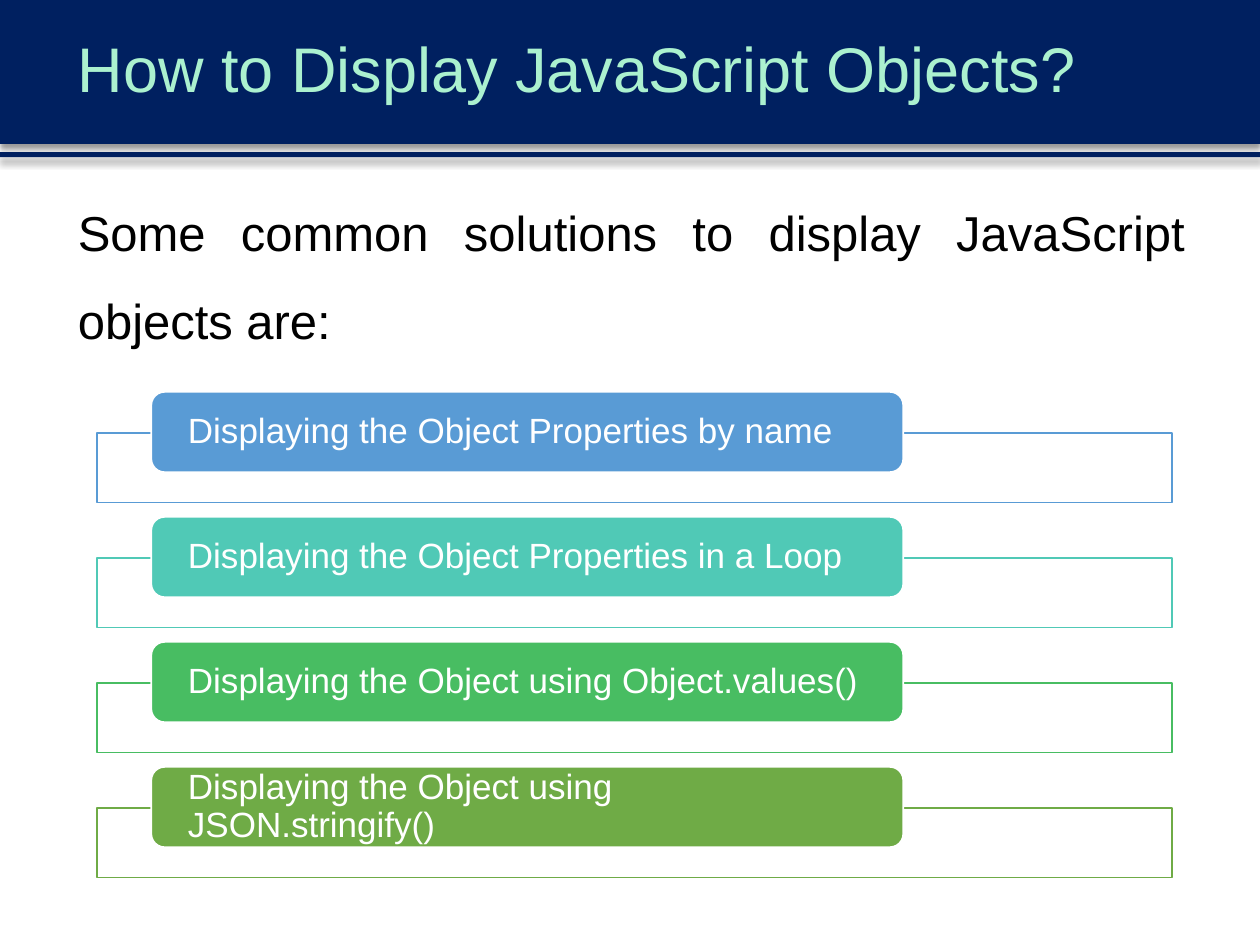
from pptx import Presentation
from pptx.dml.color import RGBColor
from pptx.enum.shapes import MSO_SHAPE as SHAPE
from pptx.enum.text import MSO_ANCHOR as ANCHOR, MSO_AUTO_SIZE as AUTO, PP_ALIGN as ALIGN
from pptx.oxml.ns import qn
from pptx.util import Cm, Pt
from lxml.etree import SubElement

NAVY = RGBColor(0x00, 0x20, 0x60)
MINT = RGBColor(0xAB, 0xF1, 0xCF)
BLACK = RGBColor(0x00, 0x00, 0x00)
WHITE = RGBColor(0xFF, 0xFF, 0xFF)
BLUE = RGBColor(0x59, 0x9B, 0xD5)
TEAL = RGBColor(0x50, 0xC9, 0xB6)
GREEN = RGBColor(0x48, 0xBD, 0x62)
OLIVE = RGBColor(0x6F, 0xAB, 0x46)

SOLUTIONS = [
    ("Displaying the Object Properties by name", BLUE),
    ("Displaying the Object Properties in a Loop", TEAL),
    ("Displaying the Object using Object.values()", GREEN),
    ("Displaying the Object using JSON.stringify()", OLIVE),
]
ROW_TOP = 7.9
ROW_PITCH = 2.52


class Deck:
    font = "Arial"

    def __init__(self):
        self.prs = Presentation()
        self.prs.slide_width, self.prs.slide_height = Cm(25.4), Cm(19.05)
        self.s = self.prs.slides.add_slide(self.prs.slide_layouts[5])

    def add_text(self, sp, text, size, color, spacing, align=ALIGN.LEFT,
                 anchor=ANCHOR.MIDDLE, side=0.25, edge=0.13):
        tf = sp.text_frame
        tf.word_wrap = True
        tf.auto_size = AUTO.NONE
        tf.vertical_anchor = anchor
        tf.margin_left = tf.margin_right = Cm(side)
        tf.margin_top = tf.margin_bottom = Cm(edge)
        p = tf.paragraphs[0]
        p.alignment = align
        p.line_spacing = spacing
        r = p.add_run()
        r.text = text
        r.font.name = self.font
        r.font.size = Pt(size)
        r.font.color.rgb = color

    def shape(self, kind, left, top, width, height, fill, line=None):
        sp = self.s.shapes.add_shape(kind, Cm(left), Cm(top), Cm(width), Cm(height))
        sp.shadow.inherit = False
        sp.fill.solid()
        sp.fill.fore_color.rgb = fill
        if line is None:
            sp.line.fill.background()
        else:
            sp.line.color.rgb = line
            sp.line.width = Pt(1)
        return sp

    def banner(self, top, height):
        sp = self.shape(SHAPE.RECTANGLE, 0, top, 25.4, height, NAVY)
        effects = sp.element.spPr.find(qn("a:effectLst"))
        shadow = SubElement(effects, qn("a:outerShdw"), blurRad=str(Pt(4)),
                            dist=str(Pt(3)), dir="5400000", rotWithShape="0")
        color = SubElement(shadow, qn("a:srgbClr"), val=str(BLACK))
        SubElement(color, qn("a:alpha"), val="40000")
        self.s.shapes.title.element.addprevious(sp.element)

    def title(self, text):
        sp = self.s.shapes.title
        sp.left, sp.top, sp.width, sp.height = Cm(1.32), Cm(0), Cm(24.08), Cm(2.9)
        self.add_text(sp, text, 36, MINT, 0.9)

    def intro(self, text):
        sp = self.s.shapes.add_textbox(Cm(1.32), Cm(3.35), Cm(22.81), Cm(3.89))
        self.add_text(sp, text, 28, BLACK, 1.5, ALIGN.JUSTIFY, ANCHOR.TOP)

    def solution(self, top, text, color):
        frame = self.shape(SHAPE.RECTANGLE, 1.96, top + 0.83, 21.67, 1.4, WHITE, color)
        fill = frame.element.spPr.find(qn("a:solidFill"))
        SubElement(fill[0], qn("a:alpha"), val="90000")
        pill = self.shape(SHAPE.ROUNDED_RECTANGLE, 3.05, top, 15.16, 1.62, color, WHITE)
        self.add_text(pill, text, 20, WHITE, 0.9, side=0.66, edge=0)


def main():
    deck = Deck()
    deck.banner(0, 2.9)
    deck.banner(3.07, 0.1)
    deck.title("How to Display JavaScript Objects?")
    deck.intro("Some common solutions to display JavaScript objects are:")
    for i, (text, color) in enumerate(SOLUTIONS):
        deck.solution(ROW_TOP + i * ROW_PITCH, text, color)
    deck.prs.save("out.pptx")


if __name__ == "__main__":
    main()
